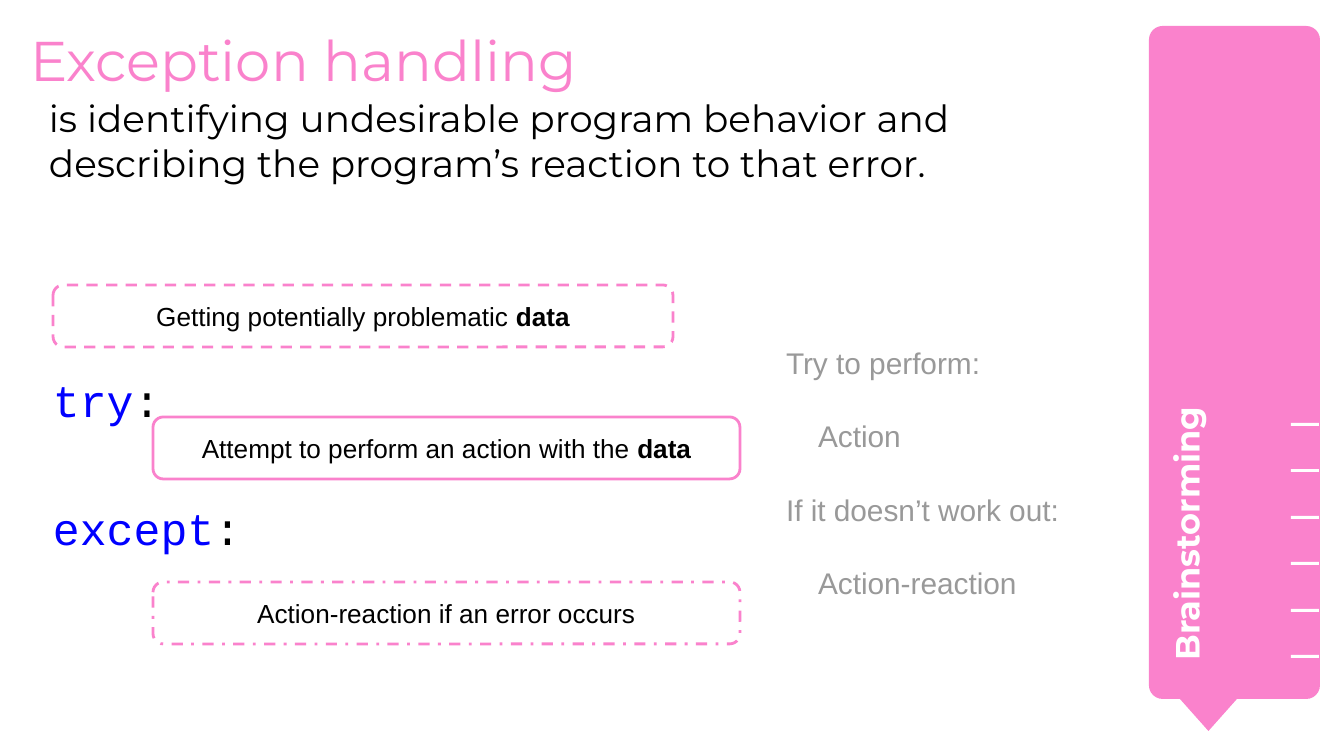
from dataclasses import dataclass
from typing import NamedTuple, Optional

from pptx import Presentation
from pptx.dml.color import RGBColor
from pptx.enum import dml, shapes, text
from pptx.util import Emu, Pt

PX = 914400 / 134.4
PINK, WHITE, BLACK, BLUE, GREY = "FA82CC", "FFFFFF", "000000", "0000FF", "999999"
INSET = 13


class Box(NamedTuple):
    left: int
    top: int
    width: int
    height: int


@dataclass
class Run:
    words: str
    color: str = BLACK
    bold: bool = False


@dataclass
class Line:
    runs: list[Run]
    indent: int = 0


@dataclass
class Style:
    font: str
    size: int
    inset: int = INSET
    gap: float = 0
    spacing: float = 1.0
    align: text.PP_ALIGN = text.PP_ALIGN.LEFT
    anchor: text.MSO_ANCHOR = text.MSO_ANCHOR.TOP


@dataclass
class Step:
    box: Box
    runs: list[Run]
    dash: Optional[dml.MSO_LINE] = None


def px(length: float) -> Emu:
    return Emu(round(length * PX))


def rgb(color: str) -> RGBColor:
    return RGBColor.from_string(color)


def write(shape, lines: list[Line], style: Style) -> None:
    frame = shape.text_frame
    frame.word_wrap = True
    frame.vertical_anchor = style.anchor
    frame.margin_left = frame.margin_right = px(style.inset)
    frame.margin_top = frame.margin_bottom = px(style.inset)
    for index, line in enumerate(lines):
        paragraph = frame.add_paragraph() if index else frame.paragraphs[0]
        paragraph.alignment = style.align
        paragraph.line_spacing = style.spacing
        if index:
            paragraph.space_before = Pt(style.gap)
        if line.indent:
            paragraph._p.get_or_add_pPr().set("marL", str(px(line.indent)))
        for part in line.runs:
            run = paragraph.add_run()
            run.text = part.words
            run.font.name = style.font
            run.font.size = Pt(style.size)
            run.font.bold = part.bold
            run.font.color.rgb = rgb(part.color)


def add_text(slide, box: Box, lines: list[Line], style: Style):
    shape = slide.shapes.add_textbox(*map(px, box))
    write(shape, lines, style)
    return shape


def add_block(parent, kind: shapes.MSO_SHAPE, box: Box, fill: str):
    shape = parent.shapes.add_shape(kind, *map(px, box))
    shape.shadow.inherit = False
    shape.fill.solid()
    shape.fill.fore_color.rgb = rgb(fill)
    shape.line.fill.background()
    return shape


def add_step(slide, step: Step, style: Style) -> None:
    shape = add_block(slide, shapes.MSO_SHAPE.ROUNDED_RECTANGLE, step.box, WHITE)
    shape.line.color.rgb = rgb(PINK)
    shape.line.width = Pt(1.5)
    if step.dash is not None:
        shape.line.dash_style = step.dash
    write(shape, [Line(step.runs)], style)


def add_banner(slide) -> None:
    banner = slide.shapes.add_group_shape()
    card = add_block(banner, shapes.MSO_SHAPE.ROUNDED_RECTANGLE, Box(1149, 26, 171, 673), PINK)
    card.adjustments[0] = 0.08
    add_block(banner, shapes.MSO_SHAPE.FLOWCHART_MERGE, Box(1164, 681, 89, 50), PINK)
    for index in range(6):
        tick = Box(1291, 423 + round(46.4 * index), 28, 3)
        add_block(slide, shapes.MSO_SHAPE.RECTANGLE, tick, WHITE)
    label = add_text(slide, Box(960, 390, 476, 90),
                     [Line([Run("Brainstorming", WHITE, True)])], Style("Montserrat", 18))
    label.rotation = 270


def main() -> None:
    presentation = Presentation()
    presentation.slide_width, presentation.slide_height = px(1344), px(756)
    slide = presentation.slides.add_slide(presentation.slide_layouts[6])

    # Side banner with ruler ticks
    add_banner(slide)

    # Title and definition
    add_text(slide, Box(30, 26, 1089, 95), [Line([Run("Exception handling", PINK)])],
             Style("Montserrat", 30, inset=0))
    definition = ("is identifying undesirable program behavior and "
                  "describing the program’s reaction to that error.")
    add_text(slide, Box(36, 82, 1075, 110), [Line([Run(definition)])], Style("Montserrat", 20))

    # Code keywords
    keywords = [Line([Run(word, BLUE), Run(":")]) for word in ("try", "except")]
    add_text(slide, Box(53, 365, 191, 194), keywords,
             Style("Courier New", 24, inset=0, gap=35.4, spacing=1.15))

    # Steps around the keywords
    steps = [
        Step(Box(53, 285, 620, 62),
             [Run("Getting potentially problematic "), Run("data", bold=True)], dml.MSO_LINE.DASH),
        Step(Box(153, 417, 587, 62),
             [Run("Attempt to perform an action with the "), Run("data", bold=True)]),
        Step(Box(153, 582, 587, 62),
             [Run("Action-reaction if an error occurs")], dml.MSO_LINE.DASH_DOT),
    ]
    step_style = Style("Arial", 14, align=text.PP_ALIGN.CENTER, anchor=text.MSO_ANCHOR.MIDDLE)
    for step in steps:
        add_step(slide, step, step_style)

    # Plain-language reading of the code
    reading = [("Try to perform:", 0), ("Action", 32),
               ("If it doesn’t work out:", 0), ("Action-reaction", 32)]
    add_text(slide, Box(773, 332, 395, 345),
             [Line([Run(words, GREY)], indent) for words, indent in reading],
             Style("Arial", 16, gap=20))

    presentation.save("out.pptx")


if __name__ == "__main__":
    main()
